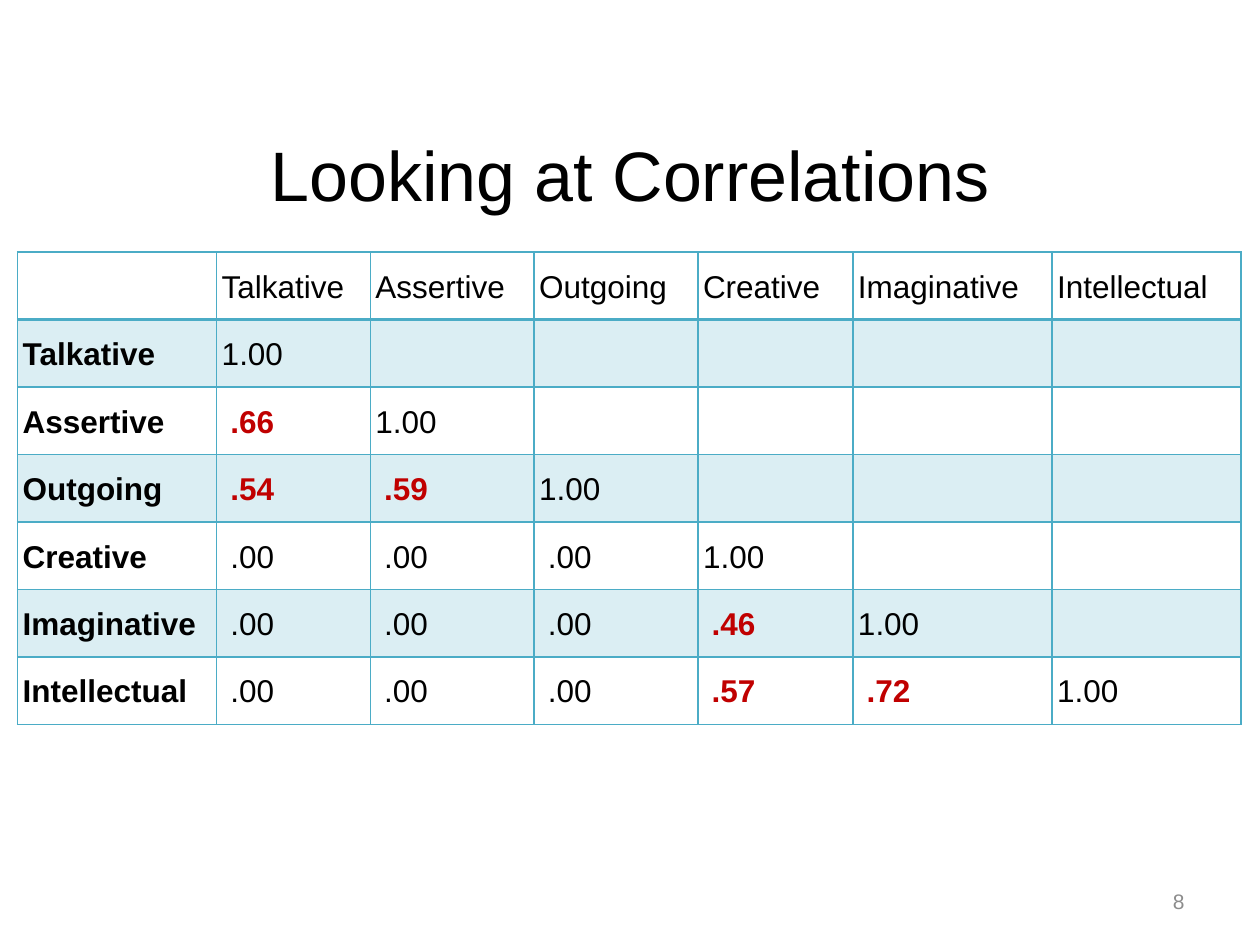
from dataclasses import dataclass

from lxml import etree
from pptx import Presentation
from pptx.dml.color import RGBColor
from pptx.enum import text
from pptx.oxml import ns
from pptx.util import Emu, Pt

PX = 9144  # 100 px to the inch
FONT = "Arial"
BLACK = RGBColor(0x00, 0x00, 0x00)
RED = RGBColor(0xC0, 0x00, 0x00)
GRAY = RGBColor(0x8C, 0x8C, 0x8C)
TEAL = RGBColor(0x4B, 0xAC, 0xC6)
BAND_ALPHA = 20000


@dataclass(frozen=True)
class Label:
    words: str
    left: int
    top: int
    width: int
    height: int
    size: int
    color: RGBColor
    align: text.PP_ALIGN


@dataclass(frozen=True)
class Trait:
    name: str
    column_width: int
    correlations: tuple[str, ...]


LABELS = (
    Label("Looking at Correlations", 50, 75, 900, 125, 40, BLACK, text.PP_ALIGN.CENTER),
    Label("8", 900, 695, 50, 40, 12, GRAY, text.PP_ALIGN.RIGHT),
)
TRAITS = (
    Trait("Talkative", 122, ("1.00",)),
    Trait("Assertive", 130, (" .66", "1.00")),
    Trait("Outgoing", 130, (" .54", " .59", "1.00")),
    Trait("Creative", 123, (" .00", " .00", " .00", "1.00")),
    Trait("Imaginative", 158, (" .00", " .00", " .00", " .46", "1.00")),
    Trait("Intellectual", 150, (" .00", " .00", " .00", " .57", " .72", "1.00")),
)
NAME_WIDTH = 158
TABLE_LEFT, TABLE_TOP, TABLE_HEIGHT = 14, 200, 375


def px(length: int) -> Emu:
    return Emu(length * PX)


def write(frame, words: str, *, size: int, color: RGBColor = BLACK, bold: bool = False,
          align=text.PP_ALIGN.LEFT, line_spacing: float = 1.0, space_after: int = 0) -> None:
    para = frame.paragraphs[0]
    para.alignment = align
    para.line_spacing = line_spacing
    para.space_after = Pt(space_after)
    span = para.add_run()
    span.text = words
    span.font.name = FONT
    span.font.size = Pt(size)
    span.font.bold = bold
    span.font.color.rgb = color


def draw_label(page, label: Label) -> None:
    box = page.shapes.add_textbox(px(label.left), px(label.top), px(label.width), px(label.height))
    frame = box.text_frame
    frame.word_wrap = True
    frame.vertical_anchor = text.MSO_ANCHOR.MIDDLE
    write(frame, label.words, size=label.size, color=label.color, align=label.align)


def set_borders(cell, top: int, bottom: int) -> None:
    properties = cell._tc.get_or_add_tcPr()
    for side, width in (("L", 1), ("R", 1), ("T", top), ("B", bottom)):
        line = etree.SubElement(properties, ns.qn(f"a:ln{side}"), w=str(Pt(width)))
        fill = etree.SubElement(line, ns.qn("a:solidFill"))
        etree.SubElement(fill, ns.qn("a:srgbClr"), val=str(TEAL))


def style_cell(cell, row: int) -> None:
    cell.margin_left = cell.margin_right = px(4)
    cell.margin_top = cell.margin_bottom = 0
    set_borders(cell, top=2 if row == 1 else 1, bottom=2 if row == 0 else 1)
    if row % 2:
        cell.fill.solid()
        cell.fill.fore_color.rgb = TEAL
        color = cell._tc.tcPr.find(".//" + ns.qn("a:solidFill") + "[last()]/../"
                                   + ns.qn("a:solidFill") + "/" + ns.qn("a:srgbClr"))
        color = cell._tc.tcPr.find(ns.qn("a:solidFill"))[0] if color is not None else color
        etree.SubElement(color, ns.qn("a:alpha"), val=str(BAND_ALPHA))
    else:
        cell.fill.background()


def draw_correlations(page) -> None:
    widths = [NAME_WIDTH] + [trait.column_width for trait in TRAITS]
    count = len(widths)
    grid = page.shapes.add_table(count, count, px(TABLE_LEFT), px(TABLE_TOP),
                                 px(sum(widths)), px(TABLE_HEIGHT)).table
    grid.first_row = grid.horz_banding = False
    for column, width in zip(grid.columns, widths):
        column.width = px(width)
    for row in range(count):
        for column in range(count):
            style_cell(grid.cell(row, column), row)

    # Headings, row names and the lower triangle
    for index, trait in enumerate(TRAITS, start=1):
        write(grid.cell(0, index).text_frame, trait.name, size=18, line_spacing=1.5)
        write(grid.cell(index, 0).text_frame, trait.name, size=18, bold=True,
              line_spacing=1.5, space_after=12)
        for column, value in enumerate(trait.correlations, start=1):
            strong = value not in ("1.00", " .00")
            write(grid.cell(index, column).text_frame, value, size=18, bold=strong,
                  color=RED if strong else BLACK, line_spacing=1.5, space_after=12)


def main() -> None:
    deck = Presentation()
    deck.slide_width, deck.slide_height = px(1000), px(750)
    page = deck.slides.add_slide(deck.slide_layouts[6])
    for label in LABELS:
        draw_label(page, label)
    draw_correlations(page)
    deck.save("out.pptx")


if __name__ == "__main__":
    main()
